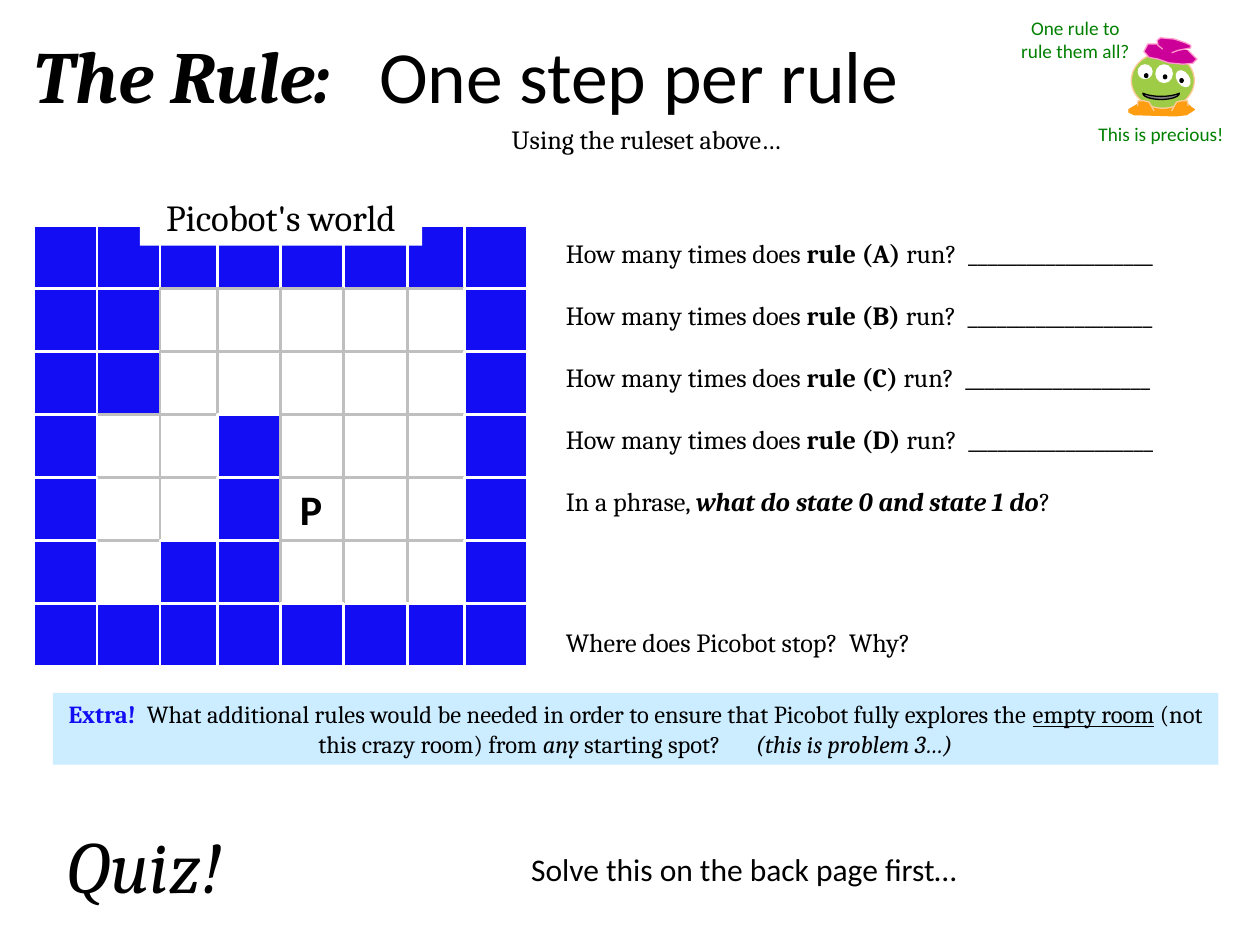
from itertools import product

from pptx import Presentation
from pptx.dml.color import RGBColor
from pptx.enum import shapes, text
from pptx.oxml.ns import qn
from pptx.util import Pt

BLACK = RGBColor(0x00, 0x00, 0x00)
WHITE = RGBColor(0xFF, 0xFF, 0xFF)
WALL_BLUE = RGBColor(0x12, 0x0D, 0xF3)
GRID_GREY = RGBColor(0xBF, 0xBF, 0xBF)
PALE_BLUE = RGBColor(0xCC, 0xEC, 0xFF)
GREEN = RGBColor(0x00, 0x80, 0x00)
SKIN = RGBColor(0x9E, 0xCC, 0x46)
PEACH = RGBColor(0xFF, 0xCC, 0x99)
ORANGE = RGBColor(0xFD, 0x9D, 0x0F)
BERET = RGBColor(0xCC, 0x00, 0x99)
PINK = RGBColor(0xFF, 0x99, 0xCC)
MOUTH_GREY = RGBColor(0x80, 0x80, 0x80)

LEFT, CENTER = text.PP_ALIGN.LEFT, text.PP_ALIGN.CENTER
RECTANGLE = shapes.MSO_SHAPE.RECTANGLE
OVAL = shapes.MSO_SHAPE.OVAL

WORLD = (
    "########",
    "##.....#",
    "##.....#",
    "#..#...#",
    "#..#.P.#".replace(".P", "P."),
    "#.##...#",
    "########",
)
COLUMN_WIDTHS = (36, 36, 33, 36, 36, 36.5, 32.5, 36)
ROW_HEIGHT = 36
# Later columns cover the edges of earlier ones
COLUMN_ORDER = (1, 0, 2, 3, 5, 6, 7, 4)


def write_text(paragraph, runs, size=15, font="Cambria", color=BLACK, align=LEFT):
    """Fill a paragraph from (wording, own format) pairs; gap widens a space."""
    paragraph.alignment = align
    paragraph.space_before = Pt(0)
    for wording, style in runs:
        run = paragraph.add_run()
        run.text = wording
        run.font.name = font
        run.font.size = Pt(size)
        run.font.color.rgb = style.get("color", color)
        run.font.bold = style.get("bold", False)
        run.font.italic = style.get("italic", False)
        run.font.underline = style.get("underline", False)
        if "gap" in style:
            run._r.get_or_add_rPr().set("spc", str(round(style["gap"] * 100)))


def prepare_frame(shape, wrap=True):
    frame = shape.text_frame
    frame.word_wrap = wrap
    frame.auto_size = text.MSO_AUTO_SIZE.NONE
    frame.vertical_anchor = text.MSO_ANCHOR.TOP
    return frame


def place(shape, box):
    shape.left, shape.top, shape.width, shape.height = map(Pt, box)


def add_label(slide, box, wording, bold=False, italic=False, **style):
    label = slide.shapes.add_textbox(*map(Pt, box))
    frame = prepare_frame(label)
    write_text(frame.paragraphs[0], [(wording, {"bold": bold, "italic": italic})], **style)


def paint(shape, fill, line=None, width=0.75):
    shape.shadow.inherit = False
    shape.fill.solid()
    shape.fill.fore_color.rgb = fill
    if line is None:
        shape.line.fill.background()
    else:
        shape.line.color.rgb = line
        shape.line.width = Pt(width)


def add_figure(parent, kind, box, fill, line=None, width=0.75):
    shape = parent.shapes.add_shape(kind, *map(Pt, box))
    paint(shape, fill, line, width)
    return shape


def add_title(slide, box):
    title = slide.shapes.title
    place(title, box)
    write_text(prepare_frame(title).paragraphs[0], [
        ("The Rule:", {"bold": True, "italic": True}),
        (" ", {"gap": 18.5}),
        ("One step per rule", {}),
    ], size=42)
    title.text_frame.paragraphs[0].runs[-1].font.name = "Calibri"


def add_world(slide, box):
    left, top = box[:2]
    cells = sorted(product(range(len(WORLD)), COLUMN_ORDER), key=lambda cell: cell[1] == 4)
    for row, column in cells:
        cell_box = (left + sum(COLUMN_WIDTHS[:column]), top + row * ROW_HEIGHT,
                    COLUMN_WIDTHS[column], ROW_HEIGHT)
        is_wall = WORLD[row][column] == "#"
        add_figure(slide, RECTANGLE, cell_box, WALL_BLUE if is_wall else WHITE,
                   WHITE if is_wall else GRID_GREY, 1.5)
    # Robot marker
    add_label(slide, (left + 143.3, top + 4 * ROW_HEIGHT, 30.2, ROW_HEIGHT), "P",
              size=24, font="Calibri", bold=True, align=CENTER)
    # Caption over the top wall
    caption = add_figure(slide, RECTANGLE, (left + 60.5, top - 20.9, 161.3, 32.4), WHITE)
    write_text(prepare_frame(caption, wrap=False).paragraphs[0],
               [("Picobot's world", {})], size=21, align=CENTER)


def add_questions(slide, box):
    body = slide.placeholders[1]
    place(body, box)
    frame = prepare_frame(body)
    blank = "_" * 19
    questions = [
        [("How many times does ", {}), (f"rule ({rule}) ", {"bold": True}), (f"run?  {blank}", {})]
        for rule in "ABCD"
    ]
    questions.append([("In a phrase, ", {}),
                      ("what do state 0 and state 1 do", {"bold": True, "italic": True}),
                      ("?", {})])
    questions.append([("Where does Picobot stop?  Why?", {})])
    gaps = (0, 17.5, 17.5, 17.5, 17.5, 62.6)
    for index, (runs, gap) in enumerate(zip(questions, gaps)):
        paragraph = frame.paragraphs[0] if index == 0 else frame.add_paragraph()
        properties = paragraph._p.get_or_add_pPr()
        properties.set("marL", "0")
        properties.set("indent", "0")
        properties.append(properties.makeelement(qn("a:buNone"), {}))
        write_text(paragraph, runs)
        paragraph.line_spacing = Pt(18)
        paragraph.space_before = Pt(gap)


def add_extra(slide, box):
    banner = add_figure(slide, RECTANGLE, box, PALE_BLUE)
    write_text(prepare_frame(banner).paragraphs[0], [
        ("Extra!  ", {"bold": True, "color": WALL_BLUE}),
        ("What additional rules would be needed in order to ensure that "
         "Picobot fully explores the ", {}),
        ("empty room", {"underline": True}),
        (" (not this crazy room) from ", {}),
        ("any ", {"italic": True}),
        ("starting spot?", {}),
        (" ", {"gap": 17}),
        ("(this is problem 3…)", {"italic": True}),
    ], size=14, align=CENTER)


def add_alien(slide, box):
    left, top = box[:2]
    group = slide.shapes.add_group_shape()

    def outline(points, fill, line, close=False):
        vertices = [(Pt(left + x), Pt(top + y)) for x, y in points]
        builder = group.shapes.build_freeform(*vertices[0])
        builder.add_line_segments(vertices[1:], close=close)
        paint(builder.convert_to_shape(), fill, line)

    def part(kind, x, y, width, height, fill, line=None, rotation=0):
        shape = add_figure(group, kind, (left + x, top + y, width, height), fill, line)
        shape.rotation = rotation

    # Base and head
    outline([(18.7, 33.8), (26, 34.5), (32.4, 36.7), (35.3, 39.6), (37.4, 41), (33, 43.9),
             (26.6, 44.6), (2.9, 43.9), (0, 42.5), (0, 41), (3.6, 38.9), (7.2, 36.7),
             (10, 35.3), (13.7, 33.8)], ORANGE, ORANGE, close=True)
    part(OVAL, 1.4, 8.6, 36, 31.7, SKIN, PEACH)
    # Eyes, pupils and mouth
    part(OVAL, 5, 15.1, 8.6, 8.6, WHITE, rotation=327.2)
    part(OVAL, 15.1, 15.1, 10.1, 10.8, WHITE)
    part(OVAL, 27.4, 18, 7.2, 10.8, WHITE, rotation=325.5)
    for x, y in ((8.6, 20.2), (19.4, 20.9), (28.8, 23)):
        part(OVAL, x, y, 2.6, 2.9, BLACK)
    part(shapes.MSO_SHAPE.MOON, 16.6, 23, 3.6, 20.9, MOUTH_GREY, BLACK, rotation=270)
    # Beret
    outline([(18.7, 3.6), (10.8, 3.6), (8.6, 7.9), (11.5, 11.2), (16.6, 12.2), (23, 14.4),
             (31, 15.1), (36.5, 14.6), (38.9, 12.2), (37.4, 10.8), (33.8, 7.2)], BERET, PINK)
    outline([(19.4, 6.5), (16.6, 4.3), (16.2, 1.5), (18, 0), (25.9, 0.7), (32.4, 2.9),
             (35.3, 4.3), (35.3, 5.8), (28.1, 7.2), (24.5, 8.6)], BERET, PINK)
    # Feet, mirrored about the middle
    foot = [(5, 38.9), (5.2, 36), (8.6, 36), (11.5, 36.7), (14.4, 41.8)]
    outline(foot, ORANGE, PEACH)
    outline([(38.8 - x, y) for x, y in foot], ORANGE, PEACH)

    # Speech
    speech = {"size": 11, "font": "Calibri", "color": GREEN, "align": CENTER}
    add_label(slide, (left - 72, top - 15.8, 82.8, 33.8), "One rule to rule them all?", **speech)
    add_label(slide, (left - 29.5, top + 44.6, 95.8, 20.9), "This is precious!", **speech)


def main():
    presentation = Presentation()
    presentation.slide_width, presentation.slide_height = Pt(720), Pt(540)
    slide = presentation.slides.add_slide(presentation.slide_layouts[1])
    add_title(slide, (12.2, 13.7, 599.8, 58.3))
    add_label(slide, (185.8, 67, 367.2, 25.2), "Using the ruleset above…", align=CENTER)
    add_world(slide, (19.4, 128.9, 282, 252))
    add_questions(slide, (316.1, 131.8, 388, 248))
    add_extra(slide, (30.2, 396, 666, 41))
    add_alien(slide, (645.1, 21.6, 39, 45))
    # Footer
    add_label(slide, (30.2, 465.1, 378, 58.3), "Quiz!", size=42, italic=True)
    add_label(slide, (179.3, 482.4, 491.8, 28.8), "Solve this on the back page first…",
              size=18, font="Calibri", align=CENTER)
    presentation.save("out.pptx")


if __name__ == "__main__":
    main()
